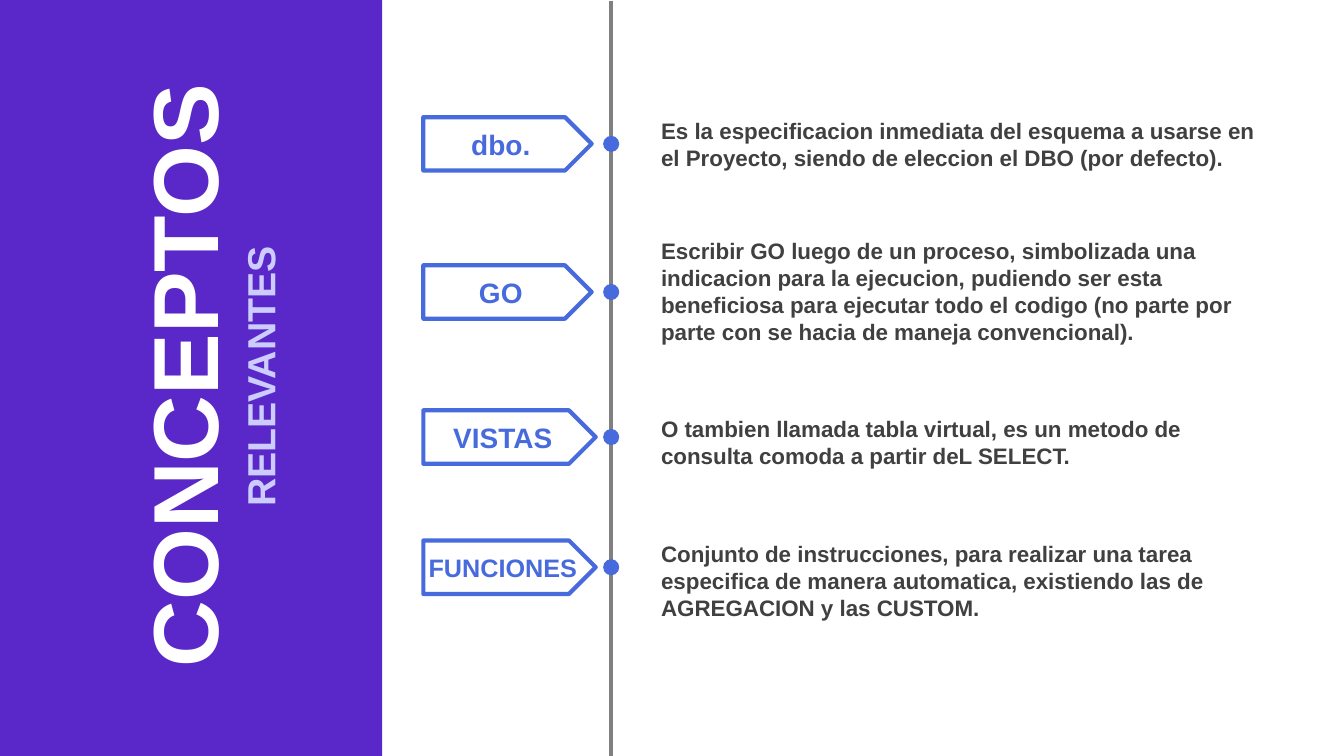
from pptx import Presentation
from pptx.dml.color import RGBColor
from pptx.enum.shapes import MSO_CONNECTOR, MSO_SHAPE
from pptx.enum.text import MSO_ANCHOR, MSO_AUTO_SIZE, PP_ALIGN
from pptx.oxml.ns import qn
from pptx.util import Pt
from lxml import etree

RECTANGLE, TAG, DOT = MSO_SHAPE.RECTANGLE, MSO_SHAPE.PENTAGON, MSO_SHAPE.OVAL
STRAIGHT = MSO_CONNECTOR.STRAIGHT
MIDDLE = MSO_ANCHOR.MIDDLE
LEFT, CENTER = PP_ALIGN.LEFT, PP_ALIGN.CENTER
NO_AUTOFIT = MSO_AUTO_SIZE.NONE

COLORS = {
    "panel": "5A28C8",
    "white": "FFFFFF",
    "subtitle": "CCCCFF",
    "accent": "476ADD",
    "axis": "808080",
    "body": "404040",
}
WIDTH, HEIGHT = 960, 540
PANEL_WIDTH = 272.88
AXIS_X = 436.6
TAG_LEFT, TAG_HEIGHT = 302.4, 38.16
DOT_SIZE = 11.52
BODY_LEFT, BODY_WIDTH = 465.12, 455.04
LINE_HEIGHT, BODY_PADDING = 19.4, 7.2

# Label, label size, tag width, tag middle, text middle, text lines, text
CONCEPTS = [
    ("dbo.", 20, 120.24, 102.8, 103, 2,
     "Es la especificacion inmediata del esquema a usarse en el Proyecto, "
     "siendo de eleccion el DBO (por defecto)."),
    ("GO", 20, 120.24, 208.6, 208, 4,
     "Escribir GO luego de un proceso, simbolizada una indicacion para la "
     "ejecucion, pudiendo ser esta beneficiosa para ejecutar todo el codigo "
     "(no parte por parte con se hacia de maneja convencional)."),
    ("VISTAS", 20, 123.12, 312.2, 316, 2,
     "O tambien llamada tabla virtual, es un metodo de consulta comoda a "
     "partir deL SELECT."),
    ("FUNCIONES", 18, 123.12, 405.2, 414.5, 3,
     "Conjunto de instrucciones, para realizar una tarea especifica de manera "
     "automatica, existiendo las de AGREGACION y las CUSTOM."),
]


def rgb(name):
    return RGBColor.from_string(COLORS[name])


def set_values(target, values):
    for name, value in values.items():
        setattr(target, name, value)


def place(shape, left, top, width, height):
    set_values(shape, {"left": Pt(left), "top": Pt(top),
                       "width": Pt(width), "height": Pt(height)})


def write(shape, text, size, color, align=LEFT, **frame_format):
    frame = shape.text_frame
    frame.text = text
    set_values(frame, {"word_wrap": True, "auto_size": NO_AUTOFIT,
                       "vertical_anchor": MIDDLE, **frame_format})
    para = frame.paragraphs[0]
    para.alignment = align
    set_values(para.font, {"name": "Arial", "size": Pt(size), "bold": True})
    para.font.color.rgb = rgb(color)
    return para


def add_filled(page, kind, box, fill):
    shape = page.shapes.add_shape(kind, *map(Pt, box))
    shape.shadow.inherit = False
    shape.fill.solid()
    shape.fill.fore_color.rgb = rgb(fill)
    shape.line.fill.background()
    return shape


def add_title_panel(page, left, top, width, height):
    panel = add_filled(page, RECTANGLE, (left, top, width, height), "panel")

    # Upright title, in front of the panel
    title = page.shapes.title
    panel._element.addnext(title._element)
    place(title, left - 97.92, top + 180.72, 465.12, 141.12)
    title.rotation = 270
    para = write(title, "CONCEPTOS", 66, "white")
    para.line_spacing = 0.9

    # Upright subtitle
    subtitle = page.shapes.add_textbox(
        Pt(left + 48.24), Pt(top + 220.26), Pt(274.32), Pt(39))
    subtitle.rotation = 270
    write(subtitle, "RELEVANTES", 28, "subtitle", margin_left=Pt(15))


def add_axis(page, x, top, bottom):
    axis = page.shapes.add_connector(STRAIGHT, Pt(x), Pt(top), Pt(x), Pt(bottom))
    axis.line.width = Pt(3)
    axis.line.color.rgb = rgb("axis")
    etree.SubElement(axis._element.spPr, qn("a:effectLst"))


def add_concept(page, label, size, width, middle, text_middle, lines, text):
    # Tag with its label
    tag = add_filled(page, TAG, (TAG_LEFT, middle - TAG_HEIGHT / 2,
                                 width, TAG_HEIGHT), "white")
    tag.line.width = Pt(3)
    tag.line.color.rgb = rgb("accent")
    write(tag, label, size, "accent", CENTER, word_wrap=False,
          margin_left=0, margin_right=0)

    # Dot on the axis
    add_filled(page, DOT, (AXIS_X - DOT_SIZE / 2, middle - DOT_SIZE / 2,
                           DOT_SIZE, DOT_SIZE), "accent")

    # Explanation
    height = lines * LINE_HEIGHT + BODY_PADDING
    body = page.shapes.add_textbox(Pt(BODY_LEFT), Pt(text_middle - height / 2),
                                   Pt(BODY_WIDTH), Pt(height))
    write(body, text, 16, "body")


def main():
    deck = Presentation()
    set_values(deck, {"slide_width": Pt(WIDTH), "slide_height": Pt(HEIGHT)})
    page = deck.slides.add_slide(deck.slide_layouts[5])
    page.background.fill.solid()
    page.background.fill.fore_color.rgb = rgb("white")
    add_title_panel(page, 0, 0, PANEL_WIDTH, HEIGHT)
    add_axis(page, AXIS_X, 0.72, HEIGHT)
    for concept in CONCEPTS:
        add_concept(page, *concept)
    deck.save("out.pptx")


if __name__ == "__main__":
    main()
